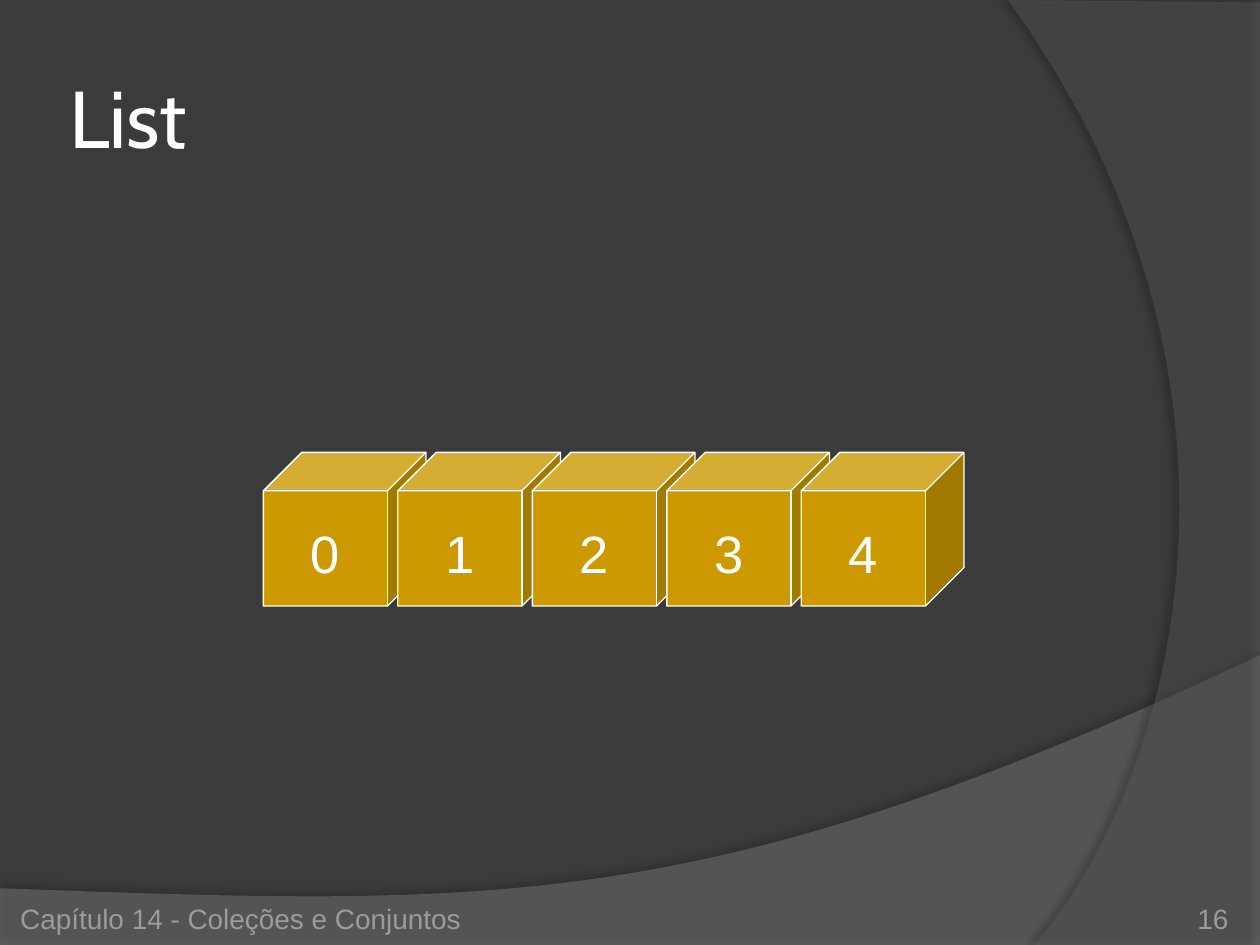
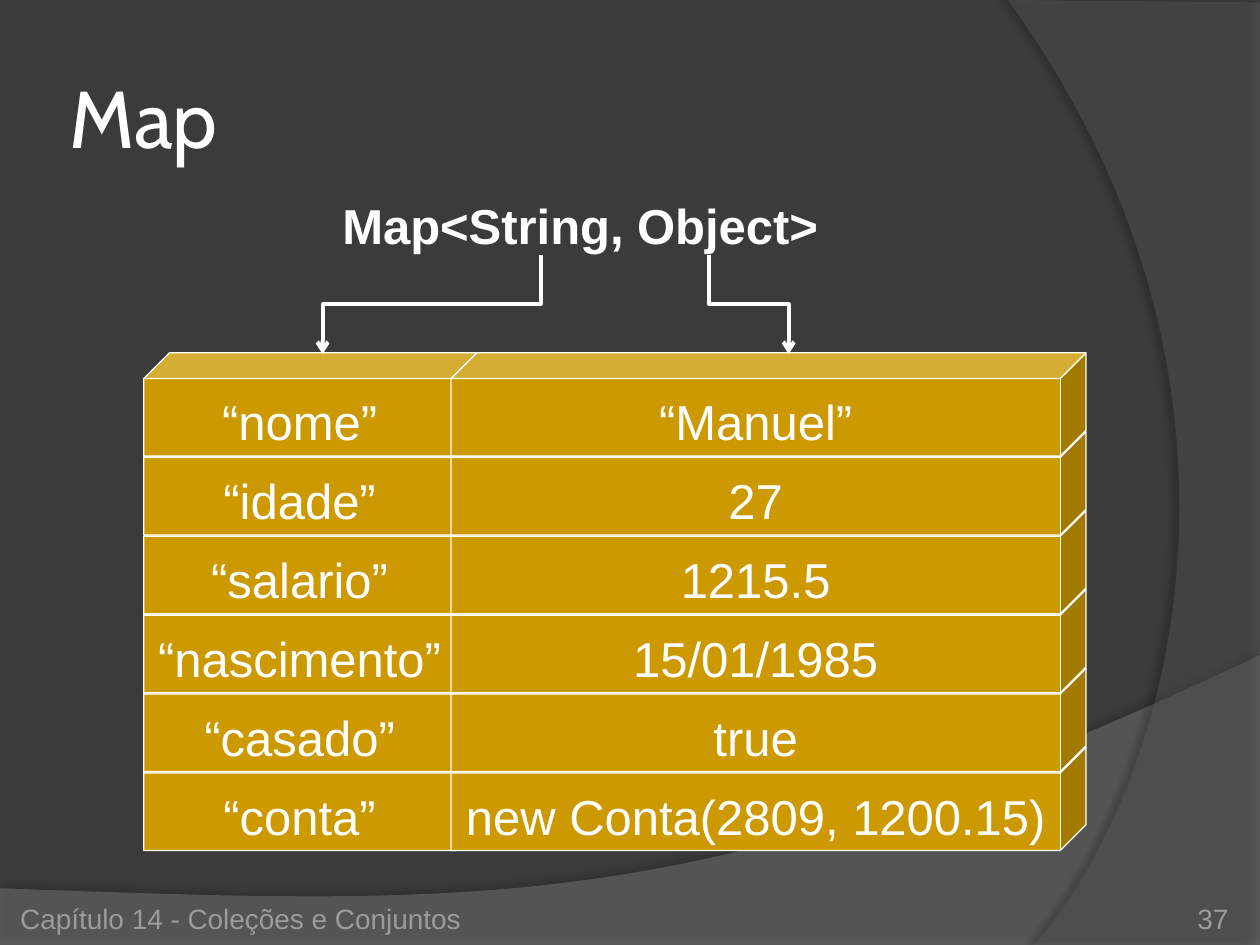
from dataclasses import dataclass

from lxml.etree import SubElement
from pptx import Presentation
from pptx.dml.color import RGBColor
from pptx.enum.shapes import MSO_CONNECTOR as Link, MSO_SHAPE as Preset
from pptx.enum.text import MSO_ANCHOR as Anchor, PP_ALIGN as Align
from pptx.oxml.ns import qn
from pptx.util import Inches, Pt

COLORS = {
    "background": "3B3B3B",
    "wave": "7F7F7F",
    "arc": "5E5E5E",
    "shadow": "000000",
    "cube": "CC9900",
    "text": "FFFFFF",
    "footer": "9D9B9A",
}
TITLE_FONT, BODY_FONT = "Cabin", "Arial"
COLUMNS, ROWS = 100, 75
CELL = Inches(0.1)
TITLE_ONLY = 5
CURVE_STEPS = 48
FOOTER = "Capítulo 14 - Coleções e Conjuntos"
LIST_INDEXES = ["0", "1", "2", "3", "4"]
MAP_ENTRIES = [
    ("“nome”", "“Manuel”"),
    ("“idade”", "27"),
    ("“salario”", "1215.5"),
    ("“nascimento”", "15/01/1985"),
    ("“casado”", "true"),
    ("“conta”", "new Conta(2809, 1200.15)"),
]


def cells(count):
    return round(count * CELL)


def color(name):
    return RGBColor.from_string(COLORS[name])


@dataclass
class Box:
    left: float
    top: float
    width: float
    height: float

    def inner(self, left, top, width, height):
        return Box(self.left + left, self.top + top, width, height)

    def point(self, x, y):
        return cells(self.left + x), cells(self.top + y)

    def lengths(self):
        return [cells(n) for n in (self.left, self.top, self.width, self.height)]


PAGE = Box(0, 0, COLUMNS, ROWS)


def write(shape, text, size, name="text", font=BODY_FONT, align=Align.LEFT,
          anchor=Anchor.MIDDLE, insets=(1, 0.5, 1, 0.5), wrap=True, bold=False):
    frame = shape.text_frame
    frame.word_wrap = wrap
    frame.vertical_anchor = anchor
    (frame.margin_left, frame.margin_top,
     frame.margin_right, frame.margin_bottom) = map(cells, insets)
    para = frame.paragraphs[0]
    para.alignment = align
    span = para.add_run()
    span.text = text
    span.font.name = font
    span.font.size = Pt(size)
    span.font.bold = bold
    span.font.color.rgb = color(name)


def add_text(page, box, text, size, **style):
    write(page.shapes.add_textbox(*box.lengths()), text, size, **style)


def curve(start, first, second, end):
    points = []
    for step in range(1, CURVE_STEPS + 1):
        t = step / CURVE_STEPS
        u = 1 - t
        points.append(tuple(
            u ** 3 * a + 3 * u * u * t * b + 3 * u * t * t * c + t ** 3 * d
            for a, b, c, d in zip(start, first, second, end)))
    return points


def add_alpha(parent, percent):
    SubElement(parent, qn("a:alpha"), val=str(percent * 1000))


def add_band(page, box, points, name, opacity, shadow_opacity, distance, angle):
    start, *others = [box.point(x, y) for x, y in points]
    builder = page.shapes.build_freeform(*start, scale=1.0)
    builder.add_line_segments(others, close=True)
    band = builder.convert_to_shape()
    band.shadow.inherit = False
    band.line.fill.background()
    band.fill.solid()
    band.fill.fore_color.rgb = color(name)
    properties = band.element.spPr
    add_alpha(properties.find(qn("a:solidFill")).find(qn("a:srgbClr")), opacity)
    shadow = SubElement(
        properties.find(qn("a:effectLst")), qn("a:outerShdw"), blurRad=str(Pt(4)),
        dist=str(Pt(distance)), dir=str(angle * 60000), algn="ctr", rotWithShape="0")
    tint = SubElement(shadow, qn("a:srgbClr"), val=COLORS["shadow"])
    add_alpha(tint, shadow_opacity)
    return band


def decorate_layout(layout, page, box):
    layout.background.fill.solid()
    layout.background.fill.fore_color.rgb = color("background")
    wave = [(0, 70.5), (0, 75), (100, 75), (100, 52)]
    wave += curve(wave[-1], (55.9, 72.9), (39.1, 71.9), wave[0])
    arc = [(100, 0.2), (100, 75), (82.1, 75)]
    arc += curve(arc[-1], (93.5, 61.9), (101.8, 30), (80, 0))
    bands = [
        add_band(page, box, wave, "wave", 45, 35, 3.5, 270),
        add_band(page, box, arc, "arc", 40, 45, 4, 180),
    ]
    for depth, band in enumerate(bands, start=2):
        layout.shapes.element.insert(depth, band.element)


def add_frame(page, box, title, number):
    heading = page.shapes.title
    heading.left, heading.top, heading.width, heading.height = box.inner(
        5, 3, 88.3, 12.5).lengths()
    write(heading, title, 46, font=TITLE_FONT, insets=(0.5,) * 4)
    footer = dict(name="footer", anchor=Anchor.BOTTOM)
    add_text(page, box.inner(1.6, 70.2, 62.5, 4), FOOTER, 16,
             insets=(0, 0.5, 0, 0), **footer)
    add_text(page, box.inner(89.2, 70.2, 8.3, 4), str(number), 16,
             align=Align.RIGHT, insets=(0,) * 4, **footer)


def add_cube(group, box, text, size):
    cube = group.shapes.add_shape(Preset.CUBE, *box.lengths())
    cube.shadow.inherit = False
    cube.adjustments[0] = 0.25
    cube.fill.solid()
    cube.fill.fore_color.rgb = color("cube")
    cube.line.color.rgb = color("text")
    cube.line.width = Pt(0.75)
    write(cube, text, size, align=Align.CENTER, insets=(1, 1.1, 1, 0.5), wrap=False)


def add_list_cubes(page, box, labels):
    group = page.shapes.add_group_shape()
    cube_width = 12.9
    pitch = (box.width - cube_width) / (len(labels) - 1)
    for index, label in enumerate(labels):
        add_cube(group, box.inner(index * pitch, 0, cube_width, box.height), label, 30)


def add_map_cubes(page, box, entries):
    group = page.shapes.add_group_shape()
    key_width, value_left, cube_height = 26.8, 24.4, 8.2
    pitch = (box.height - cube_height) / (len(entries) - 1)
    for row, (key, value) in reversed(list(enumerate(entries))):
        top = row * pitch
        add_cube(group, box.inner(0, top, key_width, cube_height), key, 28)
        add_cube(group, box.inner(value_left, top, box.width - value_left, cube_height),
                 value, 28)


def add_elbow_arrow(page, box, start_x, end_x):
    x, y = (start_x + end_x) / 2, box.height / 2
    drop, across = box.height / 2, (start_x - end_x) / 2
    arrow = page.shapes.add_connector(
        Link.ELBOW, *box.point(x - drop, y - across), *box.point(x + drop, y + across))
    arrow.line.color.rgb = color("text")
    arrow.line.width = Pt(2.25)
    properties = arrow.element.spPr
    properties.find(qn("a:xfrm")).set("rot", str(90 * 60000))
    SubElement(properties.find(qn("a:ln")), qn("a:tailEnd"), type="arrow")
    SubElement(properties, qn("a:effectLst"))


def add_map_signature(page, box):
    add_text(page, box.inner(0, 0, box.width, 6.3), "Map<String, Object>", 28,
             align=Align.CENTER, bold=True)
    arrows = box.inner(0, 5.5, box.width, 7.9)
    add_elbow_arrow(page, arrows, 18.1, 0.8)
    add_elbow_arrow(page, arrows, 31.5, 37.8)


def build_list_slide(page, box):
    add_frame(page, box, "List", 16)
    add_list_cubes(page, box.inner(20.9, 35.9, 55.6, 12.2), LIST_INDEXES)


def build_map_slide(page, box):
    add_frame(page, box, "Map", 37)
    add_map_cubes(page, box.inner(11.4, 28, 74.8, 39.5), MAP_ENTRIES)
    add_map_signature(page, box.inner(24.8, 14.7, 42.5, 13.4))


def main():
    deck = Presentation()
    deck.slide_width, deck.slide_height = cells(COLUMNS), cells(ROWS)
    layout = deck.slide_layouts[TITLE_ONLY]
    list_page, map_page = [deck.slides.add_slide(layout) for _ in range(2)]
    decorate_layout(layout, list_page, PAGE)
    build_list_slide(list_page, PAGE)
    build_map_slide(map_page, PAGE)
    deck.save("out.pptx")


if __name__ == "__main__":
    main()
